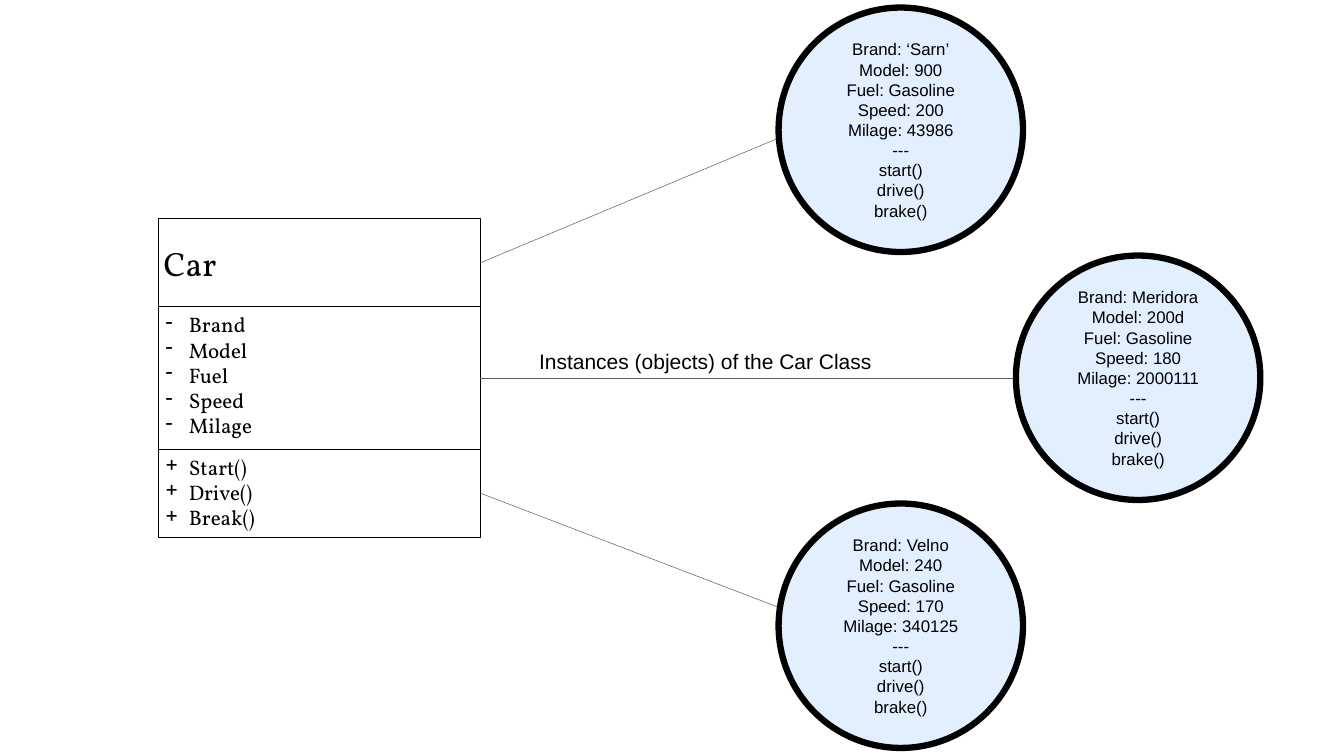
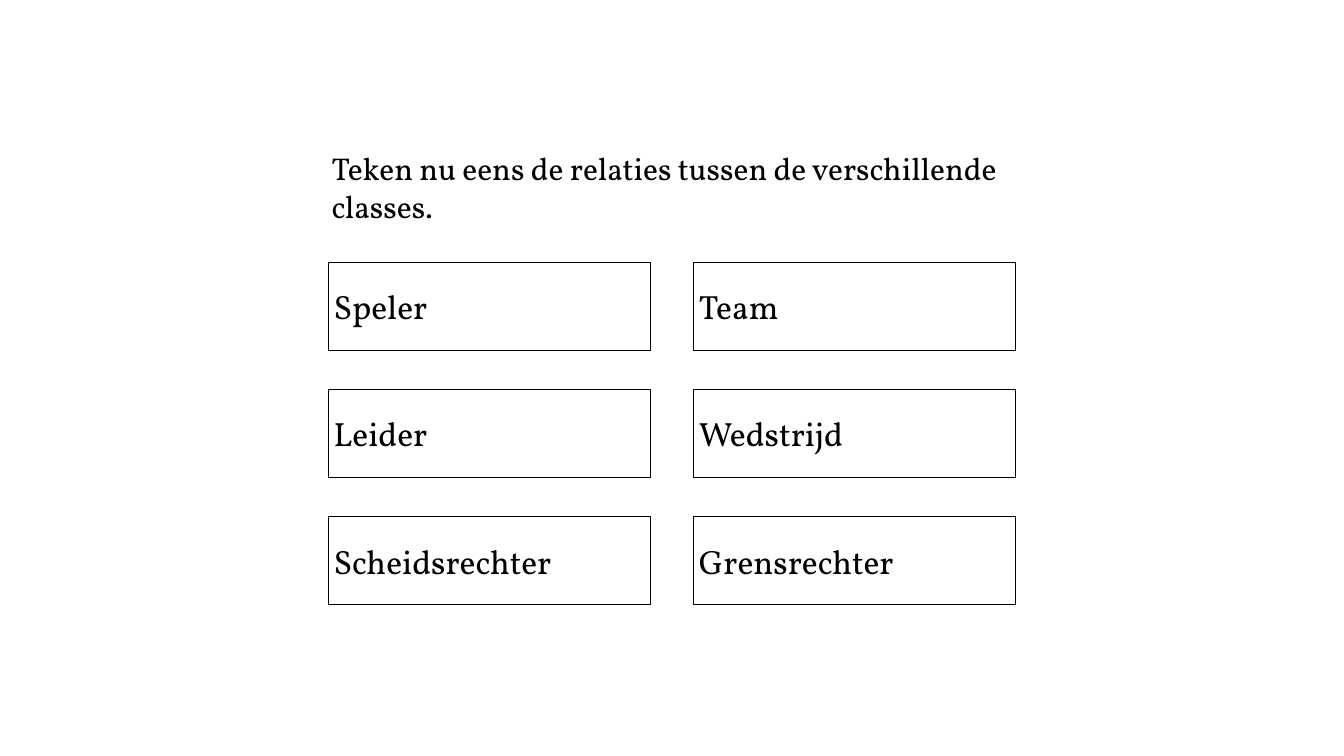
from dataclasses import dataclass

from lxml import etree
from pptx import Presentation
from pptx.dml.color import RGBColor
from pptx.enum import shapes, text
from pptx.oxml.ns import qn
from pptx.util import Emu, Pt

# Content
CLASS_NAME = ["Car"]
ATTRIBUTES = ["Brand", "Model", "Fuel", "Speed", "Milage"]
METHODS = ["Start()", "Drive()", "Break()"]
LABEL = "Instances (objects) of the Car Class"
CALLS = ["---", "start()", "drive()", "brake()"]
# Values for the attributes, circle position, end of the joining line
CARS = [
    (("‘Sarn’", "900", "Gasoline", "200", "43986"), (1545, 15), (1545, 274)),
    (("Meridora", "200d", "Gasoline", "180", "2000111"), (2016, 507), (2016, 750)),
    (("Velno", "240", "Gasoline", "170", "340125"), (1545, 999), (1545, 1205)),
]
EXERCISE = "Teken nu eens de relaties tussen de verschillende classes."
CLASSES = [("Speler", "Team"), ("Leider", "Wedstrijd"), ("Scheidsrechter", "Grensrechter")]


# Theme and measures (100 px to the inch)
@dataclass(frozen=True)
class Theme:
    ink: str = "000000"
    joint: str = "5E5E5E"
    circle: str = "E1EFFF"
    serif: str = "Vollkorn"
    sans: str = "Arial"
    name_size: int = 48
    title_size: int = 45
    list_size: int = 30
    circle_size: int = 24


THEME = Theme()
SCALE = 9144
BOX_WIDTH, BOX_HEIGHT, LIST_HEIGHT = 638, 175, 282
CIRCLE = 485
LEFT, MIDDLE = text.PP_ALIGN.LEFT, text.MSO_ANCHOR.MIDDLE
CENTER, TOP = text.PP_ALIGN.CENTER, text.MSO_ANCHOR.TOP


def px(*lengths):
    return [Emu(length * SCALE) for length in lengths]


def color(code):
    return RGBColor.from_string(code)


def add_bullet(paragraph, mark):
    properties = paragraph._p.get_or_add_pPr()
    indent, hanging = px(50, -46)
    properties.set("marL", str(indent))
    properties.set("indent", str(hanging))
    tint = etree.SubElement(properties, qn("a:buClr"))
    etree.SubElement(tint, qn("a:srgbClr"), val=THEME.ink)
    etree.SubElement(properties, qn("a:buChar"), char=mark)


def write(box, lines, size, font, align=LEFT, anchor=MIDDLE, inset=10, mark=None):
    frame = box.text_frame
    frame.word_wrap = True
    frame.auto_size = text.MSO_AUTO_SIZE.NONE
    frame.vertical_anchor = anchor
    frame.margin_left, frame.margin_top, frame.margin_right, frame.margin_bottom = px(*[inset] * 4)
    frame.text = "\n".join(lines)
    for paragraph in frame.paragraphs:
        paragraph.alignment = align
        if mark:
            add_bullet(paragraph, mark)
        paragraph.font.size = Pt(size)
        paragraph.font.name = font
        paragraph.font.color.rgb = color(THEME.ink)


def add_outline(page, kind, place, weight, fill=None):
    shape = page.shapes.add_shape(kind, *px(*place))
    shape.shadow.inherit = False
    if fill:
        shape.fill.solid()
        shape.fill.fore_color.rgb = color(fill)
    else:
        shape.fill.background()
    shape.line.color.rgb = color(THEME.ink)
    shape.line.width = Pt(weight)
    return shape


def add_class_box(page, left, top, lines, height=BOX_HEIGHT, mark=None):
    box = add_outline(page, shapes.MSO_SHAPE.RECTANGLE, (left, top, BOX_WIDTH, height), 1.5)
    if mark:
        write(box, lines, THEME.list_size, THEME.serif, anchor=TOP, mark=mark)
    else:
        write(box, lines, THEME.name_size, THEME.serif)
    return box


def add_joint(page, box, end):
    line = page.shapes.add_connector(shapes.MSO_CONNECTOR.STRAIGHT, 0, 0, *px(*end))
    line.begin_connect(box, 3)
    line.line.color.rgb = color(THEME.joint)
    line.line.width = Pt(0.75)
    etree.SubElement(line._element.spPr, qn("a:effectLst"))


def build_instances(deck):
    page = deck.slides.add_slide(deck.slide_layouts[6])

    # Class diagram: three stacked boxes
    boxes, top = [], 434
    for lines, height, mark in [
        (CLASS_NAME, BOX_HEIGHT, None),
        (ATTRIBUTES, LIST_HEIGHT, "-"),
        (METHODS, BOX_HEIGHT, "+"),
    ]:
        boxes.append(add_class_box(page, 315, top, lines, height, mark))
        top += height

    # Lines to the objects, and their label
    for box, (_, _, end) in zip(boxes, CARS):
        add_joint(page, box, end)
    label = page.shapes.add_textbox(*px(1060, 681, 997, 116))
    write(label, [LABEL], THEME.list_size, THEME.sans, anchor=TOP)

    # Objects
    for values, position, _ in CARS:
        circle = add_outline(page, shapes.MSO_SHAPE.OVAL, (*position, CIRCLE, CIRCLE), 9, THEME.circle)
        lines = [f"{name}: {value}" for name, value in zip(ATTRIBUTES, values)]
        write(circle, lines + CALLS, THEME.circle_size, THEME.sans, align=CENTER)


def build_exercise(deck):
    page = deck.slides.add_slide(deck.slide_layouts[5])
    left, top, column_step, row_step = 652, 520, 725, 252.5

    # Title
    title = page.shapes.title
    title.left, title.top, title.width, title.height = px(left, 300, 1362, 143)
    write(title, [EXERCISE], THEME.title_size, THEME.serif, inset=6)

    # Grid of classes
    for row, names in enumerate(CLASSES):
        for column, name in enumerate(names):
            add_class_box(page, left + column * column_step, round(top + row * row_step), [name])


def main():
    deck = Presentation()
    deck.slide_width, deck.slide_height = px(2667, 1500)
    build_instances(deck)
    build_exercise(deck)
    deck.save("out.pptx")


if __name__ == "__main__":
    main()
